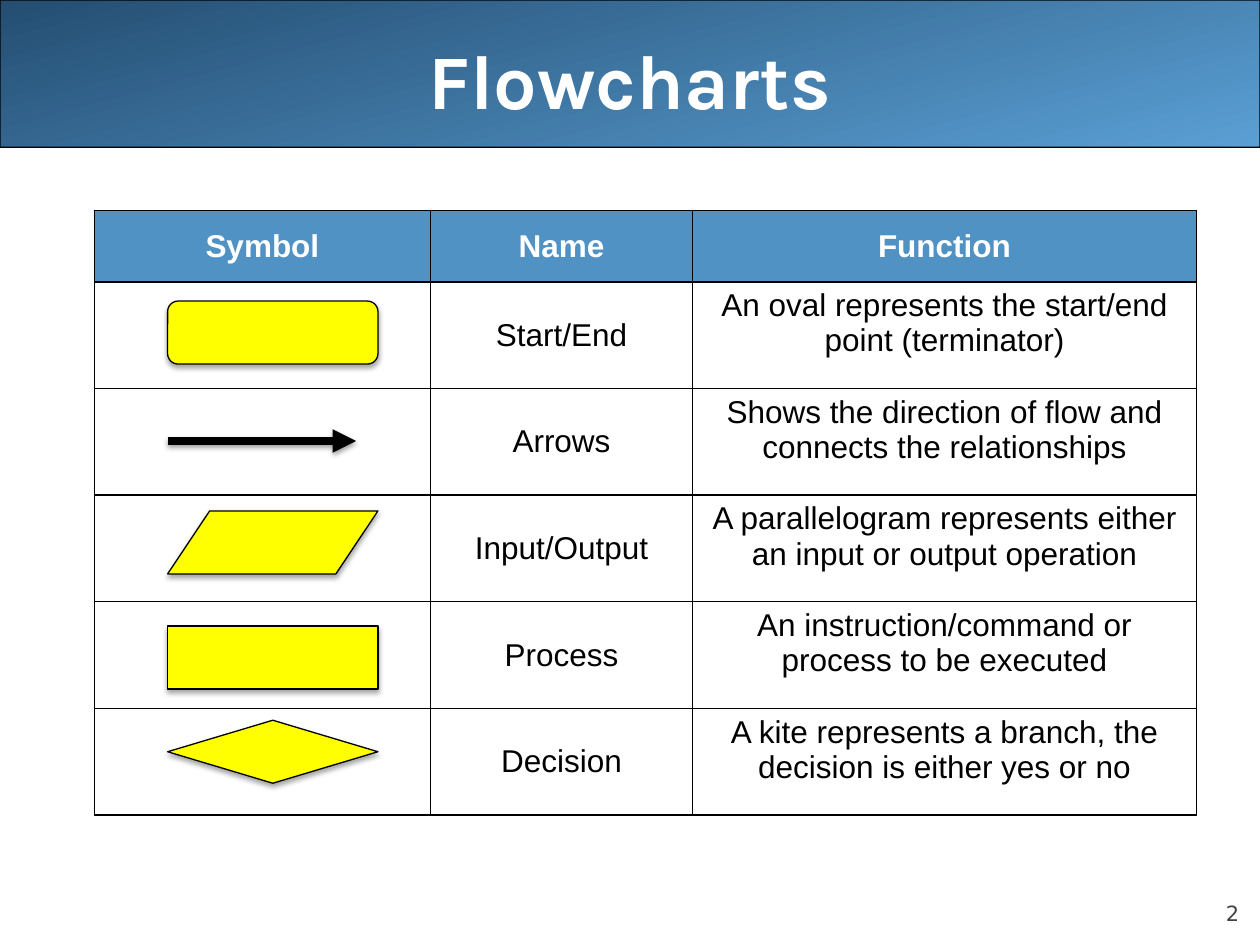
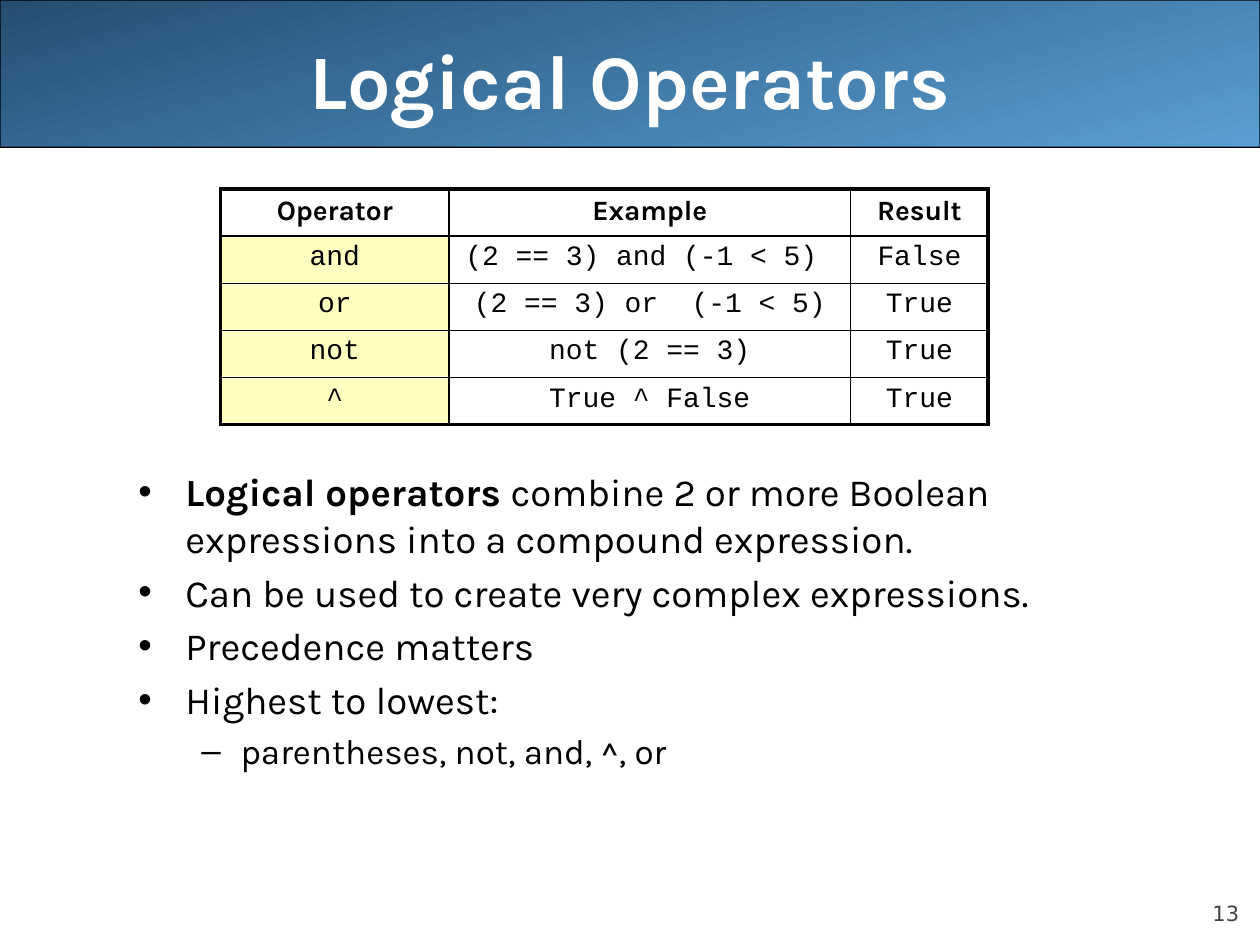
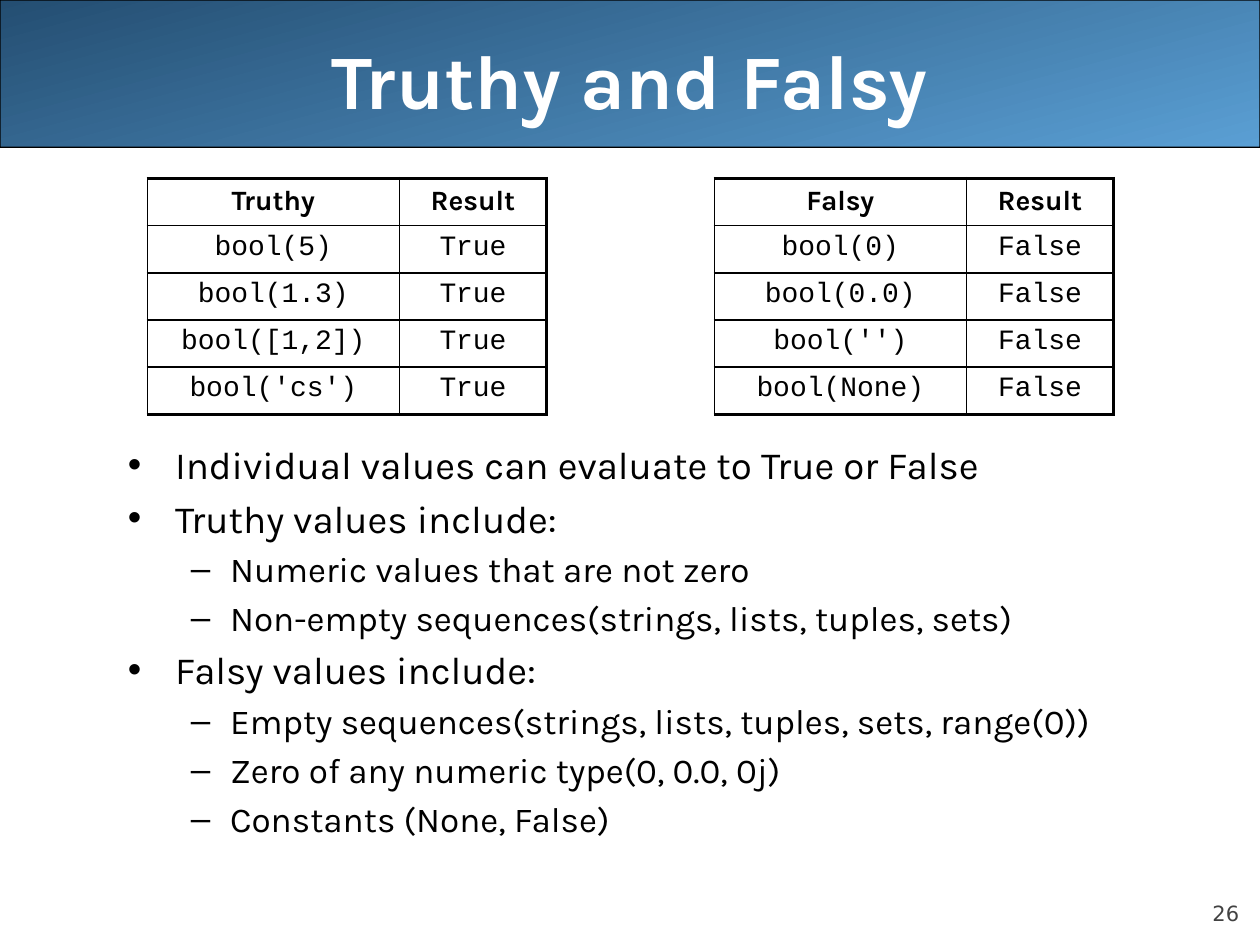
import dataclasses

import lxml.etree
import pptx
import pptx.dml.color
import pptx.enum.shapes
import pptx.enum.text
import pptx.oxml.ns
import pptx.util

Cm = pptx.util.Cm
Pt = pptx.util.Pt
ALIGN = pptx.enum.text.PP_ALIGN
ANCHOR = pptx.enum.text.MSO_ANCHOR
SHAPE = pptx.enum.shapes.MSO_SHAPE
qn = pptx.oxml.ns.qn


@dataclasses.dataclass(frozen=True)
class Theme:
    # Colours
    band_dark: str = "244E72"
    band_light: str = "5A9FD4"
    header: str = "5192C4"
    symbol: str = "FFFF00"
    operator: str = "FFFFC0"
    white: str = "FFFFFF"
    ink: str = "000000"
    page_number: str = "424242"
    # Fonts
    main_font: str = "Karla"
    code_font: str = "Courier New"
    symbol_font: str = "Arial"
    number_font: str = "DejaVu Sans"
    # Type sizes and line widths in points
    title_size: int = 44
    body_sizes: tuple = (22, 20)
    symbol_size: int = 18
    code_size: int = 16
    number_size: int = 12
    thin: float = 0.75
    rule: float = 1
    thick: float = 2.25
    arrow: float = 4.5


THEME = Theme()


@dataclasses.dataclass(frozen=True)
class Box:
    """A region in centimetres."""
    left: float
    top: float
    width: float
    height: float

    def lengths(self):
        return [Cm(value) for value in dataclasses.astuple(self)]


# Shared regions
PAGE = Box(0, 0, 25.4, 19.05)
BAND = Box(0, 0, PAGE.width, 2.97)
TITLE = Box(1.27, 0, 22.86, 3.18)
PAGE_NUMBER = Box(22.86, 17.65, 2.12, 1.02)

BULLETS = ("•", "–")
INDENTS = ((0.95, -0.95), (2.06, -0.79))


def rgb(colour):
    return pptx.dml.color.RGBColor.from_string(colour)


def set_font(font, name, size, colour, bold=False):
    font.name, font.size, font.bold = name, Pt(size), bold
    font.color.rgb = rgb(colour)


def add_child(parent, tag, **attributes):
    values = {key: str(value) for key, value in attributes.items()}
    return lxml.etree.SubElement(parent, qn(tag), values)


def set_line(line, width):
    line.color.rgb = rgb(THEME.ink)
    line.width = Pt(width)


def add_shadow(shape, opacity, distance):
    effects = add_child(shape.element.spPr, "a:effectLst")
    shadow = add_child(effects, "a:outerShdw", blurRad=Pt(3.1), dist=Pt(distance),
                       dir=90 * 60000, rotWithShape=0)
    colour = add_child(shadow, "a:srgbClr", val=THEME.ink)
    add_child(colour, "a:alpha", val=opacity * 1000)


def add_text_box(page, box, anchor):
    frame = page.shapes.add_textbox(*box.lengths()).text_frame
    frame.word_wrap = True
    frame.vertical_anchor = anchor
    return frame


# Band, title and page number on every slide
def add_page(deck, title, number):
    page = deck.slides.add_slide(deck.slide_layouts[6])

    band = page.shapes.add_shape(SHAPE.ROUNDED_RECTANGLE, *BAND.lengths())
    band.adjustments[0] = 0.001
    band.shadow.inherit = False
    band.fill.gradient()
    band.fill.gradient_angle = 285
    for stop, colour in zip(band.fill.gradient_stops, (THEME.band_dark, THEME.band_light)):
        stop.color.rgb = rgb(colour)
    set_line(band.line, THEME.thin)

    para = add_text_box(page, TITLE, ANCHOR.MIDDLE).paragraphs[0]
    para.text, para.alignment = title, ALIGN.CENTER
    set_font(para.font, THEME.main_font, THEME.title_size, THEME.white, bold=True)

    frame = add_text_box(page, PAGE_NUMBER, ANCHOR.BOTTOM)
    frame.margin_left = frame.margin_right = frame.margin_top = frame.margin_bottom = 0
    para = frame.paragraphs[0]
    para.text, para.alignment = str(number), ALIGN.RIGHT
    set_font(para.font, THEME.number_font, THEME.number_size, THEME.page_number)
    return page


# Tables
def add_borders(cell, thick_sides):
    properties = cell._tc.get_or_add_tcPr()
    for side in "LRTB":
        width = THEME.thick if side in thick_sides else THEME.rule
        line = add_child(properties, f"a:ln{side}", w=Pt(width))
        add_child(add_child(line, "a:solidFill"), "a:srgbClr", val=THEME.ink)


def add_grid(page, left, top, columns, heights, rows, style_cell, thick_edges=""):
    """Draw a ruled table; style_cell(cell, para, row, column) sets its look."""
    box = Box(left, top, sum(columns), sum(heights))
    table = page.shapes.add_table(len(rows), len(columns), *box.lengths()).table
    table.first_row = table.horz_banding = False
    for column, width in zip(table.columns, columns):
        column.width = Cm(width)
    for row, height in zip(table.rows, heights):
        row.height = Cm(height)
    for r, texts in enumerate(rows):
        for c, text in enumerate(texts):
            cell = table.cell(r, c)
            edges = {"L": c == 0, "R": c == len(columns) - 1,
                     "T": r == 0, "B": r == len(rows) - 1}
            add_borders(cell, [side for side in thick_edges if edges[side]])
            para = cell.text_frame.paragraphs[0]
            para.text, para.alignment = text, ALIGN.CENTER
            style_cell(cell, para, r, c)


def fill_cell(cell, colour):
    cell.fill.solid()
    cell.fill.fore_color.rgb = rgb(colour)


def style_symbol_cell(cell, para, row, column):
    header = row == 0
    fill_cell(cell, THEME.header if header else THEME.white)
    cell.vertical_anchor = ANCHOR.MIDDLE if header or column < 2 else ANCHOR.TOP
    set_font(para.font, THEME.symbol_font, THEME.symbol_size,
             THEME.white if header else THEME.ink, bold=header)


def style_code_cell(cell, para, row, column):
    header = row == 0
    cell.fill.background()
    set_font(para.font, THEME.main_font if header else THEME.code_font,
             THEME.code_size, THEME.ink, bold=header)


def style_operator_cell(cell, para, row, column):
    style_code_cell(cell, para, row, column)
    if row > 0 and column == 0:
        fill_cell(cell, THEME.operator)


def add_code_table(page, left, top, columns, rows, style_cell, thick_edges):
    add_grid(page, left, top, columns, [0.95] * len(rows), rows, style_cell, thick_edges)


# Bulleted text: items are (level, text) or (level, text, bold lead)
def add_bullets(page, box, items):
    frame = add_text_box(page, box, ANCHOR.TOP)
    for index, (level, text, *lead) in enumerate(items):
        para = frame.paragraphs[0] if index == 0 else frame.add_paragraph()
        size = THEME.body_sizes[level]
        para.level = level
        if index:
            para.space_before = Pt(size * 0.2)
        properties = para._p.get_or_add_pPr()
        margin, indent = INDENTS[level]
        properties.set("marL", str(Cm(margin)))
        properties.set("indent", str(Cm(indent)))
        add_child(properties, "a:buFont", typeface="Arial")
        add_child(properties, "a:buChar", char=BULLETS[level])
        set_font(para.font, THEME.main_font, size, THEME.ink)
        for bold_text in lead:
            span = para.add_run()
            span.text, span.font.bold = bold_text, True
        para.add_run().text = text


# Flowchart symbols
def add_symbol(page, kind, box):
    symbol = page.shapes.add_shape(kind, *box.lengths())
    symbol.fill.solid()
    symbol.fill.fore_color.rgb = rgb(THEME.symbol)
    set_line(symbol.line, THEME.thin)
    add_shadow(symbol, 35, 1.8)


def add_flow_arrow(page, left, middle, length):
    arrow = page.shapes.add_connector(
        pptx.enum.shapes.MSO_CONNECTOR.STRAIGHT,
        Cm(left), Cm(middle), Cm(left + length), Cm(middle))
    set_line(arrow.line, THEME.arrow)
    add_child(arrow.element.spPr.find(qn("a:ln")), "a:tailEnd", type="triangle")
    add_shadow(arrow, 38, 1.6)


def build_flowcharts(deck):
    page = add_page(deck, "Flowcharts", 2)
    left, top, header_height, row_height = 1.9, 4.24, 1.44, 2.15
    rows = [
        ("Symbol", "Name", "Function"),
        ("", "Start/End", "An oval represents the start/end point (terminator)"),
        ("", "Arrows", "Shows the direction of flow and connects the relationships"),
        ("", "Input/Output",
         "A parallelogram represents either an input or output operation"),
        ("", "Process", "An instruction/command or process to be executed"),
        ("", "Decision", "A kite represents a branch, the decision is either yes or no"),
    ]
    heights = [header_height] + [row_height] * (len(rows) - 1)
    add_grid(page, left, top, (6.78, 5.28, 10.16), heights, rows, style_symbol_cell)

    # Each symbol with its drop below the top of its row; None is the arrow
    symbols = [
        (SHAPE.FLOWCHART_ALTERNATE_PROCESS, 0.39),
        (None, 1.06),
        (SHAPE.FLOWCHART_DATA, 0.32),
        (SHAPE.FLOWCHART_PROCESS, 0.49),
        (SHAPE.FLOWCHART_DECISION, 0.24),
    ]
    symbol_left = left + 1.48
    for index, (kind, drop) in enumerate(symbols):
        symbol_top = top + header_height + index * row_height + drop
        if kind is None:
            add_flow_arrow(page, symbol_left, symbol_top, 3.8)
        else:
            add_symbol(page, kind, Box(symbol_left, symbol_top, 4.24, 1.27))


def build_logical_operators(deck):
    page = add_page(deck, "Logical Operators", 13)
    rows = [
        ("Operator", "Example", "Result"),
        ("and", "(2 == 3) and (-1 < 5) ", "False"),
        ("or", "(2 == 3) or  (-1 < 5)", "True"),
        ("not", "not (2 == 3)", "True"),
        ("^", "True ^ False", "True"),
    ]
    add_code_table(page, 4.45, 3.81, (4.6, 8.1, 2.77), rows, style_operator_cell, "LRTB")
    add_bullets(page, Box(2.54, 9.32, 20.75, 8.05), [
        (0, "combine 2 or more Boolean expressions into a compound expression.",
         "Logical operators "),
        (0, "Can be used to create very complex expressions."),
        (0, "Precedence matters"),
        (0, "Highest to lowest:"),
        (1, "parentheses, not, and, ^, or"),
    ])


def build_truthy_and_falsy(deck):
    page = add_page(deck, "Truthy and Falsy", 26)
    tables = [
        (2.97, "Truthy", "True", ("5", "1.3", "[1,2]", "'cs'")),
        (14.4, "Falsy", "False", ("0", "0.0", "''", "None")),
    ]
    for left, heading, result, values in tables:
        rows = [(heading, "Result")] + [(f"bool({value})", result) for value in values]
        add_code_table(page, left, 3.6, (5.08, 2.97), rows, style_code_cell, "RTB")
    add_bullets(page, Box(2.33, 8.76, 20.75, 8.05), [
        (0, "Individual values can evaluate to True or False"),
        (0, "Truthy values include:"),
        (1, "Numeric values that are not zero"),
        (1, "Non-empty sequences(strings, lists, tuples, sets)"),
        (0, "Falsy values include:"),
        (1, "Empty sequences(strings, lists, tuples, sets, range(0))"),
        (1, "Zero of any numeric type(0, 0.0, 0j)"),
        (1, "Constants (None, False)"),
    ])


def main():
    deck = pptx.Presentation()
    deck.slide_width, deck.slide_height = Cm(PAGE.width), Cm(PAGE.height)
    build_flowcharts(deck)
    build_logical_operators(deck)
    build_truthy_and_falsy(deck)
    deck.save("out.pptx")


if __name__ == "__main__":
    main()
